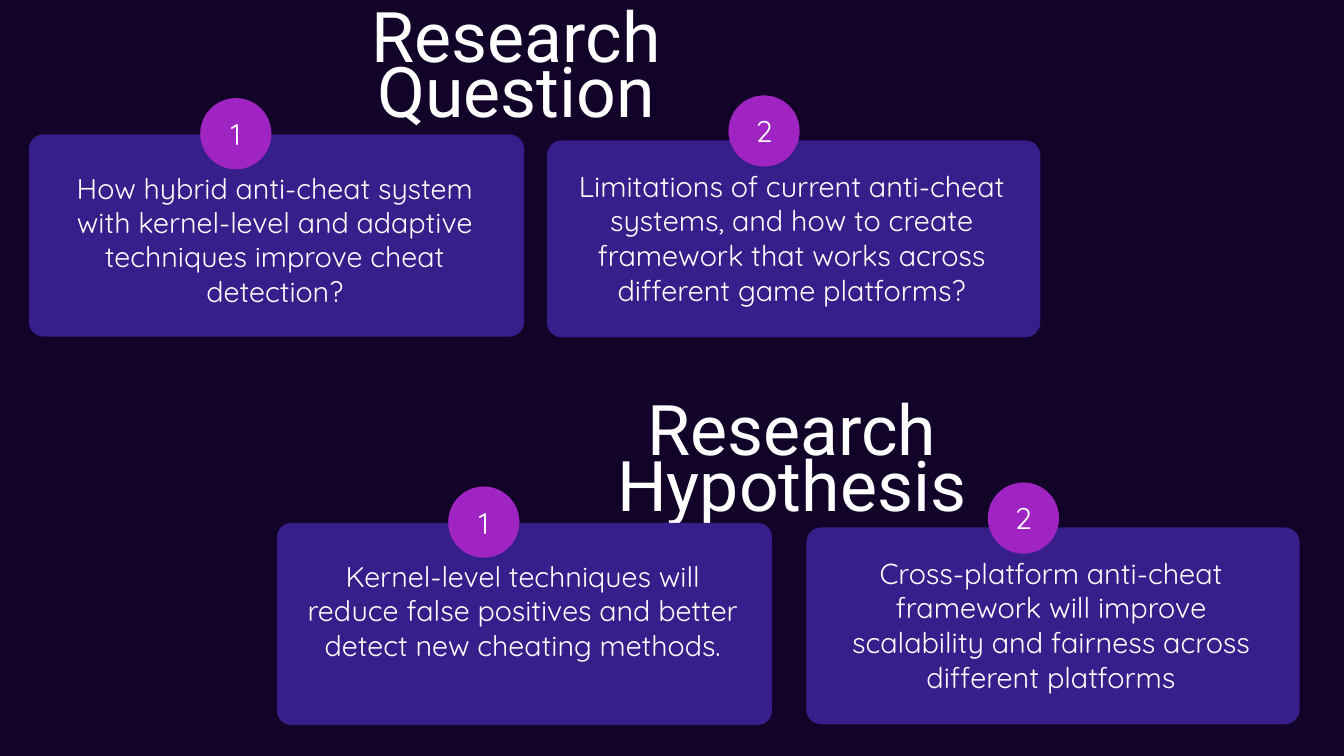
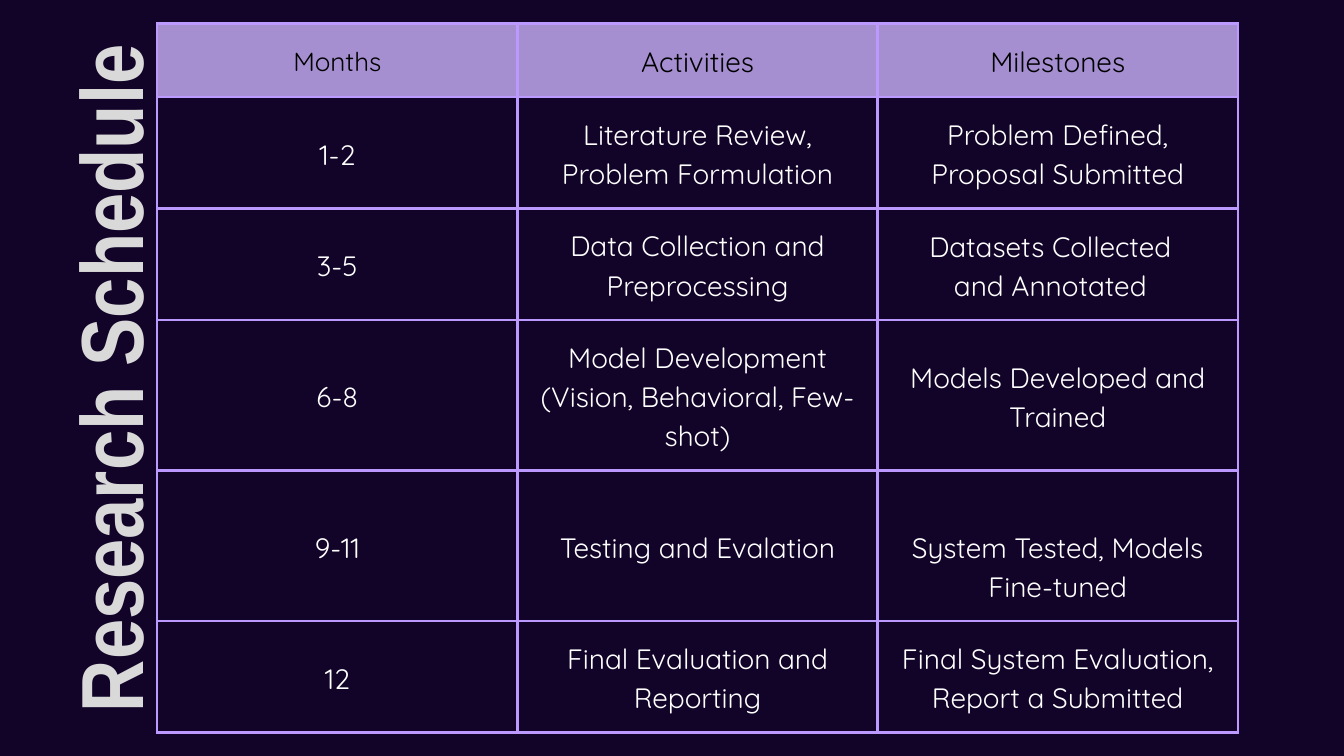
from dataclasses import dataclass

from lxml import etree
from pptx import Presentation
from pptx.dml.color import RGBColor
from pptx.enum.shapes import MSO_SHAPE
from pptx.enum.text import MSO_ANCHOR, MSO_AUTO_SIZE, PP_ALIGN
from pptx.oxml.ns import qn
from pptx.util import Inches, Pt

ROUNDED, OVAL = MSO_SHAPE.ROUNDED_RECTANGLE, MSO_SHAPE.OVAL
TOP, MIDDLE = MSO_ANCHOR.TOP, MSO_ANCHOR.MIDDLE
CENTER = PP_ALIGN.CENTER
NO_AUTOFIT = MSO_AUTO_SIZE.NONE
TITLE_ONLY = 5


@dataclass(frozen=True)
class TextStyle:
    font: str
    size: float
    leading: float
    color: str
    bold: bool = False


@dataclass(frozen=True)
class Theme:
    background: str = "120428"
    card: str = "361E8B"
    badge: str = "9F24C2"
    header: str = "A58FD1"
    border: str = "BB99FF"
    border_width: int = 3
    heading: TextStyle = TextStyle("Roboto", 74.8, 59.9, "FFFFFF")
    side_title: TextStyle = TextStyle("Arial Narrow", 94.5, 132.3, "D9D9D9", True)
    number: TextStyle = TextStyle("Quicksand", 32, 44.8, "FFFFFF")
    first_card: TextStyle = TextStyle("Quicksand", 30.7, 36.9, "FFFFFF")
    second_card: TextStyle = TextStyle("Quicksand", 30.9, 37.1, "FFFFFF")
    cell: TextStyle = TextStyle("Quicksand", 30, 42, "FFFFFF")
    header_cell: TextStyle = TextStyle("Quicksand", 30, 42, "000000")
    first_header: TextStyle = TextStyle("Quicksand", 28, 39.2, "000000")


@dataclass(frozen=True)
class CardForm:
    """Size of a card, its badge offset and its text insets."""
    width: float
    height: float
    badge_x: float
    badge_y: float
    insets: tuple
    style: TextStyle


THEME = Theme()
CARD_FORMS = {
    "1": CardForm(7.37, 3.01, 2.55, -0.54, (0.32, 0.47, 0.37, 0), THEME.first_card),
    "2": CardForm(7.34, 2.93, 2.7, -0.67, (0.26, 0.35, 0.32, 0), THEME.second_card),
}
BADGE_SIZE = 1.06
CORNER_RADIUS = 0.22
CELL_INSET = 0.21

# Heading, its box, and the cards with their left and top
SECTIONS = [
    ("Research Question", (4.03, 0.3, 7.3, 1.29), [
        ("1", 0.43, 2, "How hybrid anti-cheat system with kernel-level and "
                       "adaptive techniques improve cheat detection?"),
        ("2", 8.14, 2.09, "Limitations of current anti-cheat systems, and how to "
                          "create framework that works across different game platforms?"),
    ]),
    ("Research Hypothesis", (7.67, 6.15, 8.22, 1.3), [
        ("1", 4.12, 7.78, "Kernel-level techniques will reduce false positives and "
                          "better detect new cheating methods."),
        ("2", 12, 7.85, "Cross-platform anti-cheat framework will improve "
                        "scalability and fairness across different platforms"),
    ]),
]

SCHEDULE = [
    ("Months", "Activities", "Milestones"),
    ("1-2", "Literature Review, Problem Formulation",
     "Problem Defined, Proposal Submitted"),
    ("3-5", "Data Collection and Preprocessing", ""),
    ("6-8", "Model Development (Vision, Behavioral, Few-shot)",
     "Models Developed and Trained"),
    ("9-11", "Testing and Evalation", "System Tested, Models Fine-tuned"),
    ("12", "Final Evaluation and Reporting",
     "Final System Evaluation, Report a Submitted"),
]
ROW_HEIGHTS = [1.09, 1.66, 1.66, 2.24, 2.24, 1.66]
LOWERED_CELL = (4, 2)


def rgb(color):
    return RGBColor.from_string(color)


class Deck:
    def __init__(self, theme):
        self.theme = theme
        self.slide = None
        self.prs = Presentation()
        self.prs.slide_width, self.prs.slide_height = Inches(20), Inches(11.25)
        backdrop = self.prs.slide_master.background.fill
        backdrop.solid()
        backdrop.fore_color.rgb = rgb(theme.background)

    def new_slide(self):
        self.slide = self.prs.slides.add_slide(self.prs.slide_layouts[TITLE_ONLY])

    def fill_frame(self, frame, text, style, insets=(0, 0, 0, 0), anchor=TOP):
        frame.word_wrap = True
        frame.auto_size = NO_AUTOFIT
        frame.vertical_anchor = anchor
        (frame.margin_left, frame.margin_top,
         frame.margin_right, frame.margin_bottom) = map(Inches, insets)
        self.style_paragraph(frame.paragraphs[0], text, style)

    def style_paragraph(self, paragraph, text, style):
        paragraph.text = text
        paragraph.alignment = CENTER
        paragraph.line_spacing = Pt(style.leading)
        font = paragraph.font
        font.name, font.size, font.bold = style.font, Pt(style.size), style.bold
        font.color.rgb = rgb(style.color)

    def title(self, text, box, style, rotation=0):
        title = self.slide.shapes.title
        title.left, title.top, title.width, title.height = map(Inches, box)
        title.rotation = rotation
        self.fill_frame(title.text_frame, text, style)

    def text(self, text, box, style):
        label = self.slide.shapes.add_textbox(*map(Inches, box))
        self.fill_frame(label.text_frame, text, style)

    def panel(self, kind, box, color):
        panel = self.slide.shapes.add_shape(kind, *map(Inches, box))
        panel.shadow.inherit = False
        panel.fill.solid()
        panel.fill.fore_color.rgb = rgb(color)
        panel.line.fill.background()
        return panel

    def card(self, number, left, top, text):
        form = CARD_FORMS[number]
        card = self.panel(ROUNDED, (left, top, form.width, form.height),
                          self.theme.card)
        card.adjustments[0] = CORNER_RADIUS / form.height
        self.fill_frame(card.text_frame, text, form.style, form.insets)
        badge = self.panel(OVAL, (left + form.badge_x, top + form.badge_y,
                                  BADGE_SIZE, BADGE_SIZE), self.theme.badge)
        self.fill_frame(badge.text_frame, number, self.theme.number,
                        (0, 0, 0, 0.09), MIDDLE)

    def table(self, rows, box, row_heights):
        table = self.slide.shapes.add_table(
            len(rows), len(rows[0]), *map(Inches, box)).table
        table.first_row = table.horz_banding = False
        for row, height in zip(table.rows, row_heights):
            row.height = Inches(height)
        for r, texts in enumerate(rows):
            for c, text in enumerate(texts):
                self.cell(table.cell(r, c), text, r, c)

    def cell(self, cell, text, r, c):
        cell.vertical_anchor = MIDDLE
        cell.margin_left = cell.margin_right = Inches(CELL_INSET)
        cell.margin_top = cell.margin_bottom = Inches(CELL_INSET)
        style = self.theme.cell
        if r == 0:
            style = self.theme.header_cell if c else self.theme.first_header
            cell.fill.solid()
            cell.fill.fore_color.rgb = rgb(self.theme.header)
        else:
            cell.fill.background()
        if (r, c) == LOWERED_CELL:
            cell.margin_top += Pt(style.leading)
        self.style_paragraph(cell.text_frame.paragraphs[0], text, style)
        self.cell_borders(cell)

    def cell_borders(self, cell):
        properties = cell._tc.get_or_add_tcPr()
        for position, side in enumerate(("a:lnL", "a:lnR", "a:lnT", "a:lnB")):
            line = etree.Element(qn(side), w=str(Pt(self.theme.border_width)))
            fill = etree.SubElement(line, qn("a:solidFill"))
            etree.SubElement(fill, qn("a:srgbClr"), val=self.theme.border)
            properties.insert(position, line)


def main():
    deck = Deck(THEME)

    # Research question and hypothesis
    deck.new_slide()
    for index, (heading, box, cards) in enumerate(SECTIONS):
        add_heading = deck.text if index else deck.title
        add_heading(heading, box, THEME.heading)
        for card in cards:
            deck.card(*card)

    # Research schedule
    deck.new_slide()
    deck.table(SCHEDULE, (2.34, 0.35, 16.08, sum(ROW_HEIGHTS)), ROW_HEIGHTS)
    deck.text("Datasets Collected and Annotated", (13.52, 3.33, 4.22, 1.16), THEME.cell)
    deck.title("Research Schedule", (-5.77, 4.74, 14.45, 1.78),
               THEME.side_title, rotation=270)

    deck.prs.save("out.pptx")


if __name__ == "__main__":
    main()
